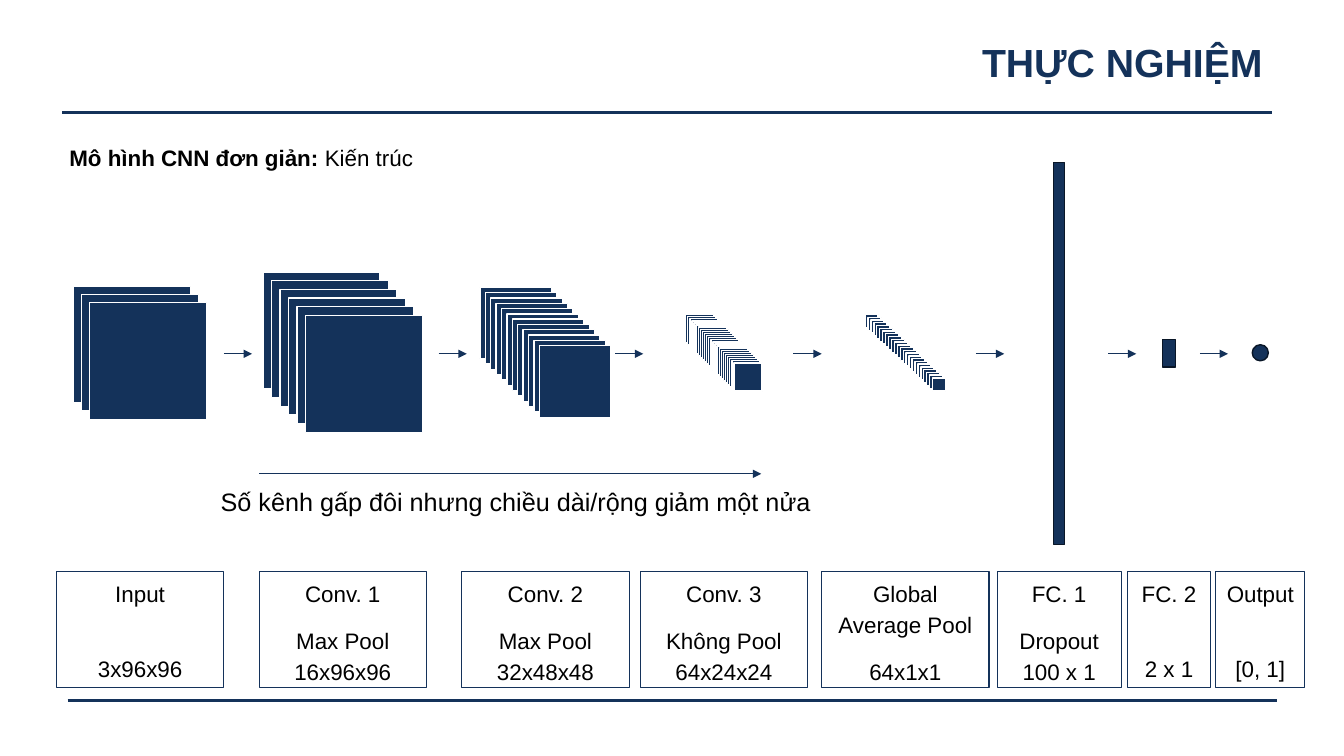
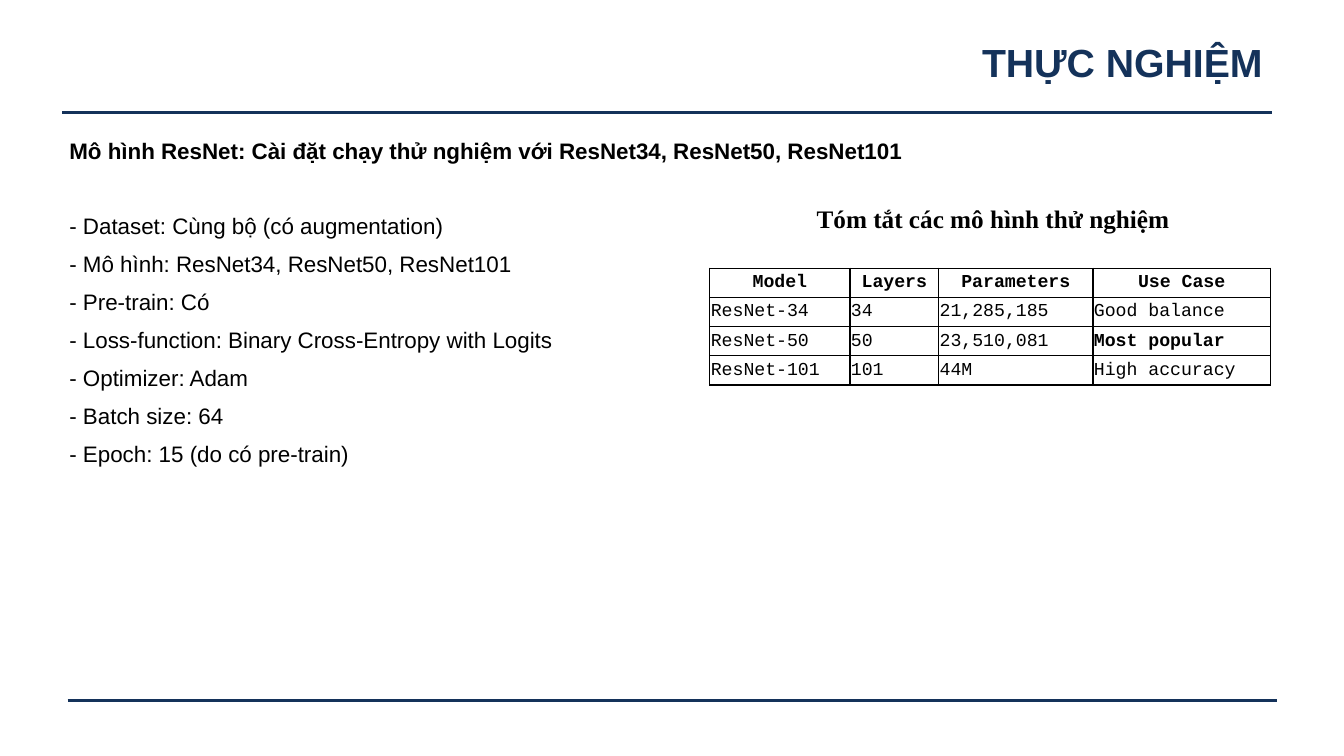
import pptx
import pptx.util
import pptx.dml.color
import pptx.enum.shapes
import pptx.enum.text
import pptx.oxml
import pptx.oxml.ns

Inches, Pt = pptx.util.Inches, pptx.util.Pt
RGBColor = pptx.dml.color.RGBColor
SHAPE = pptx.enum.shapes.MSO_SHAPE
ALIGN = pptx.enum.text.PP_ALIGN
ANCHOR = pptx.enum.text.MSO_ANCHOR

NAVY = RGBColor(0x14, 0x32, 0x5A)
DARK_NAVY = RGBColor(0x09, 0x16, 0x27)
BLACK = RGBColor(0, 0, 0)
WHITE = RGBColor(255, 255, 255)

TITLE = "THỰC NGHIỆM"
TITLE_FONT = {"name": "Arial", "size": Pt(28), "bold": True}
BODY_FONT = {"name": "Arial", "size": Pt(16)}
NOTE_FONT = {"name": "Arial", "size": Pt(18)}
CAPTION_FONT = {"name": "Times New Roman", "size": Pt(18), "bold": True}
TABLE_FONT = {"name": "Courier New", "size": Pt(13)}

# left, top, square size, total shift right, total shift down, count
FEATURE_MAPS = [
    (0.73, 2.84, 1.16, 0.16, 0.16, 3),
    (2.61, 2.7, 1.16, 0.42, 0.43, 6),
    (4.76, 2.85, 0.71, 0.59, 0.58, 12),
    (6.8, 3.12, 0.28, 0.48, 0.48, 24),
    (8.58, 3.12, 0.13, 0.67, 0.63, 24),
]
DENSE_LAYERS = [
    (SHAPE.RECTANGLE, (10.45, 1.61, 0.11, 3.79)),
    (SHAPE.RECTANGLE, (11.53, 3.37, 0.13, 0.27)),
    (SHAPE.OVAL, (12.42, 3.42, 0.16, 0.16)),
]
# left, width, layer name, output size
LAYER_LABELS = [
    (0.56, 1.66, "Input", "3x96x96"),
    (2.57, 1.66, "Conv. 1\nMax Pool", "16x96x96"),
    (4.58, 1.66, "Conv. 2\nMax Pool", "32x48x48"),
    (6.35, 1.66, "Conv. 3\nKhông Pool", "64x24x24"),
    (8.15, 1.66, "Global Average Pool", "64x1x1"),
    (9.89, 1.23, "FC. 1\nDropout", "100 x 1"),
    (11.18, 0.83, "FC. 2", "2 x 1"),
    (12.06, 0.88, "Output", "[0, 1]"),
]
ARROW_STARTS = [2.22, 4.35, 6.1, 7.87, 9.68, 10.99, 11.9]
ARROW_LENGTH = 0.28

RESNET_HEADING = "Mô hình ResNet: Cài đặt chạy thử nghiệm với ResNet34, ResNet50, ResNet101"
RESNET_SETUP = [
    "- Dataset: Cùng bộ (có augmentation)",
    "- Mô hình: ResNet34, ResNet50, ResNet101",
    "- Pre-train: Có",
    "- Loss-function: Binary Cross-Entropy with Logits",
    "- Optimizer: Adam",
    "- Batch size: 64",
    "- Epoch: 15 (do có pre-train)",
]
MODEL_ROWS = [
    ("Model", "Layers", "Parameters", "Use Case"),
    ("ResNet-34", "34", "21,285,185", "Good balance"),
    ("ResNet-50", "50", "23,510,081", "Most popular"),
    ("ResNet-101", "101", "44M", "High accuracy"),
]
COLUMN_WIDTHS = [1.39, 0.88, 1.53, 1.76]
ROW_HEIGHT = 0.29
BOLD_CELL = "Most popular"


def set_font(font, values, color=BLACK):
    for name, value in values.items():
        setattr(font, name, value)
    font.color.rgb = color


def add_text(s, box, wrap=True):
    tf = s.shapes.add_textbox(*map(Inches, box)).text_frame
    tf.word_wrap = wrap
    return tf


def add_line(s, x1, y1, x2, y2, width, arrow=False):
    line = s.shapes.add_connector(pptx.enum.shapes.MSO_CONNECTOR.STRAIGHT,
                                  *map(Inches, (x1, y1, x2, y2)))
    line.line.color.rgb = NAVY
    line.line.width = Pt(width)
    sp_pr = line._element.spPr
    if arrow:
        tail = pptx.oxml.ns.qn("a:tailEnd")
        line.line._get_or_add_ln().makeelement(tail)
        sp_pr.find(pptx.oxml.ns.qn("a:ln")).append(
            sp_pr.makeelement(tail, {"type": "triangle"}))
    sp_pr.append(sp_pr.makeelement(pptx.oxml.ns.qn("a:effectLst")))


def add_box(s, kind, box, fill, outline, width):
    sp = s.shapes.add_shape(kind, *map(Inches, box))
    sp.shadow.inherit = False
    if fill is None:
        sp.fill.background()
    else:
        sp.fill.solid()
        sp.fill.fore_color.rgb = fill
    sp.line.color.rgb = outline
    sp.line.width = Pt(width)
    return sp


def add_base_slide(prs):
    """Add a blank slide with the shared title and the two rules."""
    s = prs.slides.add_slide(prs.slide_layouts[6])
    add_line(s, 0.67, 6.95, 12.67, 6.95, 2.25)
    add_line(s, 0.62, 1.12, 12.62, 1.12, 2.25)
    tf = add_text(s, (0.62, 0.24, 12, 0.69))
    tf.vertical_anchor = ANCHOR.MIDDLE
    p = tf.paragraphs[0]
    p.alignment = ALIGN.RIGHT
    p.line_spacing = 1.14
    p.text = TITLE
    set_font(p.runs[0].font, TITLE_FONT, NAVY)
    return s


def add_layer_label(s, left, width, name, size):
    sp = add_box(s, SHAPE.RECTANGLE, (left, 5.67, width, 1.15), None, NAVY, 0.75)
    tf = sp.text_frame
    tf.word_wrap = True
    tf.vertical_anchor = ANCHOR.TOP
    tf.text = name
    tf.add_paragraph().text = size
    for p in tf.paragraphs:
        p.alignment = ALIGN.CENTER
        p.line_spacing = Pt(22)
        set_font(p.font, BODY_FONT)
        for r in p.runs:
            set_font(r.font, BODY_FONT)
    two_lines = " Pool" in name or "\n" in name
    tf.paragraphs[0].space_after = Pt(11.5 if two_lines else 31.5)


def add_cnn_slide(prs):
    s = add_base_slide(prs)
    p = add_text(s, (0.59, 1.38, 12.03, 0.4)).paragraphs[0]
    for text, bold in (("Mô hình CNN đơn giản: ", True), ("Kiến trúc", False)):
        r = p.add_run()
        r.text = text
        set_font(r.font, {**BODY_FONT, "bold": bold})

    for left, top, size, right, down, count in FEATURE_MAPS:
        for i in range(count):
            part = i / (count - 1)
            box = (left + right * part, top + down * part, size, size)
            add_box(s, SHAPE.RECTANGLE, box, NAVY, WHITE, 1)
    for kind, box in DENSE_LAYERS:
        add_box(s, kind, box, NAVY, DARK_NAVY, 1)
    for label in LAYER_LABELS:
        add_layer_label(s, *label)
    for x in ARROW_STARTS:
        add_line(s, x, 3.51, x + ARROW_LENGTH, 3.51, 0.5, arrow=True)

    add_line(s, 2.57, 4.7, 7.55, 4.7, 0.5, arrow=True)
    p = add_text(s, (2.09, 4.78, 6.14, 0.4)).paragraphs[0]
    p.text = "Số kênh gấp đôi nhưng chiều dài/rộng giảm một nửa"
    set_font(p.runs[0].font, NOTE_FONT)


def set_borders(cell):
    tc_pr = cell._tc.get_or_add_tcPr()
    for i, side in enumerate(("lnL", "lnR", "lnT", "lnB")):
        tc_pr.insert(i, pptx.oxml.parse_xml(
            f'<a:{side} {pptx.oxml.ns.nsdecls("a")} w="{Pt(1)}"><a:solidFill>'
            f'<a:srgbClr val="{BLACK}"/></a:solidFill></a:{side}>'))


def add_model_table(s):
    rows, cols = len(MODEL_ROWS), len(COLUMN_WIDTHS)
    box = (7.04, 2.66, sum(COLUMN_WIDTHS), ROW_HEIGHT * rows)
    table = s.shapes.add_table(rows, cols, *map(Inches, box)).table
    table.first_row = table.horz_banding = False
    for column, width in zip(table.columns, COLUMN_WIDTHS):
        column.width = Inches(width)
    for i, values in enumerate(MODEL_ROWS):
        table.rows[i].height = Inches(ROW_HEIGHT)
        for j, value in enumerate(values):
            cell = table.cell(i, j)
            cell.fill.background()
            cell.vertical_anchor = ANCHOR.MIDDLE
            for side in ("left", "right", "top", "bottom"):
                setattr(cell, f"margin_{side}", Inches(0.01))
            set_borders(cell)
            p = cell.text_frame.paragraphs[0]
            p.text = value
            p.alignment = ALIGN.CENTER if i == 0 else ALIGN.LEFT
            bold = i == 0 or value == BOLD_CELL
            set_font(p.runs[0].font, {**TABLE_FONT, "bold": bold})


def add_resnet_slide(prs):
    s = add_base_slide(prs)
    tf = add_text(s, (0.59, 1.31, 12.06, 5.22))
    for i, text in enumerate([RESNET_HEADING, *RESNET_SETUP]):
        p = tf.add_paragraph() if i else tf.paragraphs[0]
        p.text = text
        p.space_after = Pt(8 if i else 34.4)
        set_font(p.runs[0].font, {**BODY_FONT, "bold": i == 0})

    add_model_table(s)
    tf = add_text(s, (8.05, 1.97, 3.62, 0.42), wrap=False)
    for side in ("left", "right", "top", "bottom"):
        setattr(tf, f"margin_{side}", Inches(0.05))
    p = tf.paragraphs[0]
    p.text = "Tóm tắt các mô hình thử nghiệm"
    set_font(p.runs[0].font, CAPTION_FONT)


def main():
    prs = pptx.Presentation()
    prs.slide_width, prs.slide_height = Inches(13.33), Inches(7.5)
    add_cnn_slide(prs)
    add_resnet_slide(prs)
    prs.save("out.pptx")


if __name__ == "__main__":
    main()
